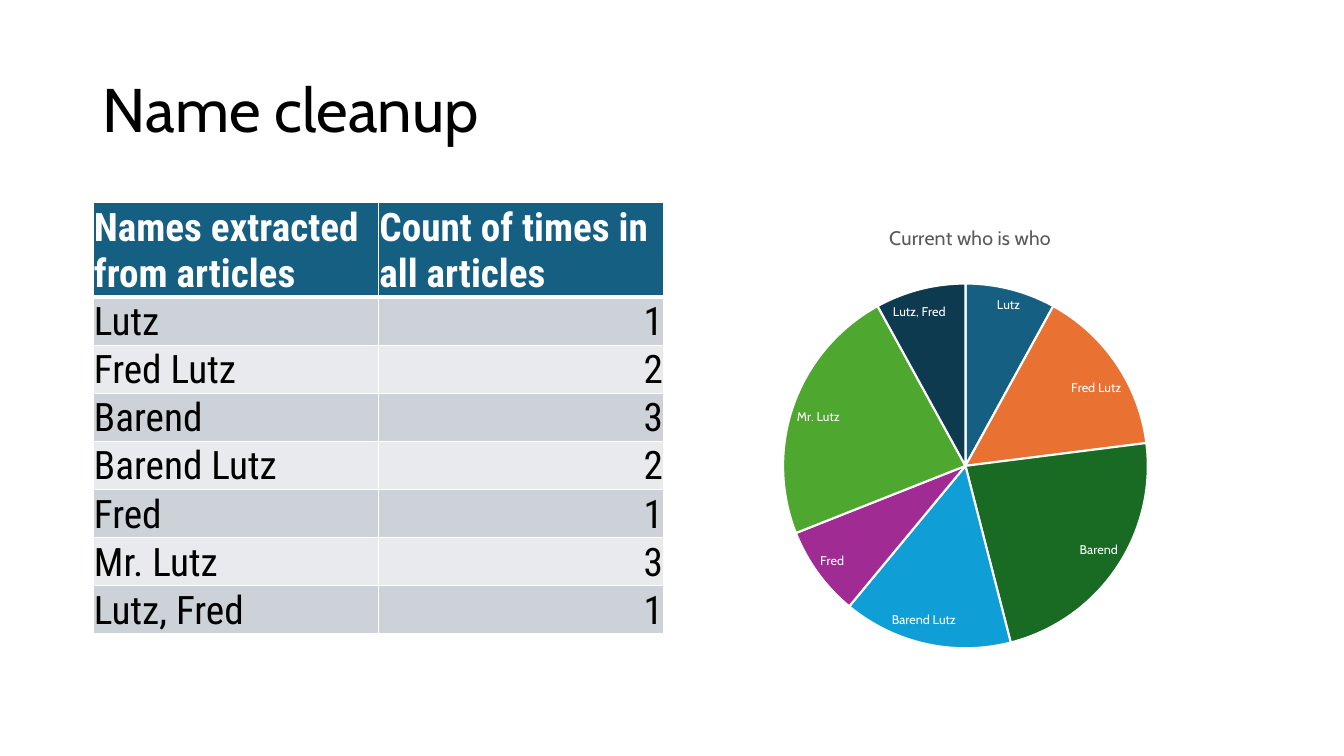
import pptx
import pptx.util
import pptx.chart.data
import pptx.dml.color
import pptx.enum.chart
import pptx.enum.text
import pptx.oxml
import pptx.oxml.ns
import lxml.etree

RGB = pptx.dml.color.RGBColor
Pt = pptx.util.Pt
WHITE = RGB(0xFF, 0xFF, 0xFF)
BLACK = RGB(0x00, 0x00, 0x00)
GREY = RGB(0x59, 0x59, 0x59)
BLUE = RGB(0x15, 0x60, 0x82)
BANDS = [RGB(0xCC, 0xD2, 0xD8), RGB(0xE8, 0xEA, 0xED)]
SLICES = [BLUE, RGB(0xE9, 0x71, 0x32), RGB(0x19, 0x6B, 0x24),
          RGB(0x0F, 0x9E, 0xD5), RGB(0xA0, 0x2B, 0x93),
          RGB(0x4E, 0xA7, 0x2E), RGB(0x0D, 0x3A, 0x4E)]
NAMES = ["Lutz", "Fred Lutz", "Barend", "Barend Lutz", "Fred",
         "Mr. Lutz", "Lutz, Fred"]
COUNTS = [1, 2, 3, 2, 1, 3, 1]
SHARES = [8, 15, 23, 15, 8, 23, 8]
qn = pptx.oxml.ns.qn


def px(*nums):
    return [pptx.util.Emu(round(n * 914400 / 100.8)) for n in nums]


def style(font, name, size, color, bold=False):
    font.name, font.size, font.bold = name, Pt(size), bold
    font.color.rgb = color


deck = pptx.Presentation()
deck.slide_width, deck.slide_height = px(1344, 756)
slide = deck.slides.add_slide(deck.slide_layouts[6])

# Title
frame = slide.shapes.add_textbox(*px(93, 40, 1159, 146)).text_frame
frame.word_wrap = True
frame.vertical_anchor = pptx.enum.text.MSO_ANCHOR.MIDDLE
frame.text = "Name cleanup"
frame.paragraphs[0].line_spacing = 0.9
style(frame.paragraphs[0].runs[0].font, "Cabin", 44, BLACK)

# Table of names and counts
rows = [("Names extracted from articles", "Count of times in all articles")]
rows += zip(NAMES, COUNTS)
table = slide.shapes.add_table(len(rows), 2, *px(93, 202, 571, 328)).table
for col in table.columns:
    col.width = px(285.5)[0]
for r, row in enumerate(rows):
    table.rows[r].height = px(41)[0]
    for c, value in enumerate(row):
        cell = table.cell(r, c)
        cell.margin_left, cell.margin_right, cell.margin_top = px(1, 1, 1)
        cell.margin_bottom = 0
        cell.vertical_anchor = pptx.enum.text.MSO_ANCHOR.BOTTOM
        para = cell.text_frame.paragraphs[0]
        para.text = str(value)
        if r and c:
            para.alignment = pptx.enum.text.PP_ALIGN.RIGHT
        style(para.runs[0].font, "Roboto Condensed", 28,
              BLACK if r else WHITE, r == 0)
        # Borders come before the fill in the cell properties
        props = cell._tc.get_or_add_tcPr()
        for side in "LRTB":
            thick = (r == 0 and side == "B") or (r == 1 and side == "T")
            line = lxml.etree.SubElement(props, qn("a:ln" + side),
                                         w=str(Pt(3 if thick else 1)))
            fill = lxml.etree.SubElement(line, qn("a:solidFill"))
            lxml.etree.SubElement(fill, qn("a:srgbClr"), val=str(WHITE))
        cell.fill.solid()
        cell.fill.fore_color.rgb = BANDS[(r - 1) % 2] if r else BLUE

# Pie chart
data = pptx.chart.data.CategoryChartData()
data.categories = NAMES
data.add_series("Series 1", SHARES)
chart = slide.shapes.add_chart(pptx.enum.chart.XL_CHART_TYPE.PIE,
                               *px(680, 202, 571, 480), data).chart
style(chart.font, "Cabin", 10, BLACK)
chart.has_legend = False
chart.has_title = True
head = chart.chart_title.text_frame
head.text = "Current who is who"
style(head.paragraphs[0].runs[0].font, "Cabin", 14, GREY)
plot = chart.plots[0]
plot.vary_by_categories = True
for i, color in enumerate(SLICES):
    shape = plot.series[0].points[i].format
    shape.fill.solid()
    shape.fill.fore_color.rgb = color
    shape.line.color.rgb = WHITE
    shape.line.width = Pt(1.5)

# Slice labels
labels = plot.series[0].data_labels
labels.show_category_name = True
labels.show_value = False
labels.show_percentage = False
labels.position = pptx.enum.chart.XL_LABEL_POSITION.BEST_FIT
style(labels.font, "Cabin", 9, WHITE)

# Places of the chart title and the pie, as shares of the chart
title = chart.chart_title._element
area = chart._chartSpace.chart.plotArea
for host, spot in [(title, {"x": 0.36, "y": 0.04}),
                   (area, {"x": 0.18, "y": 0.17, "w": 0.64, "h": 0.76})]:
    for old in host.findall(qn("c:layout")):
        host.remove(old)
    layout = pptx.oxml.parse_xml(
        "<c:layout %s><c:manualLayout/></c:layout>" % pptx.oxml.ns.nsdecls("c"))
    if host is area:
        host.insert(0, layout)
        lxml.etree.SubElement(layout[0], qn("c:layoutTarget"), val="inner")
    else:
        host.find(qn("c:tx")).addnext(layout)
    for key in "xy":
        lxml.etree.SubElement(layout[0], qn("c:%sMode" % key), val="edge")
    for key, value in spot.items():
        lxml.etree.SubElement(layout[0], qn("c:" + key), val=str(value))

deck.save("out.pptx")
